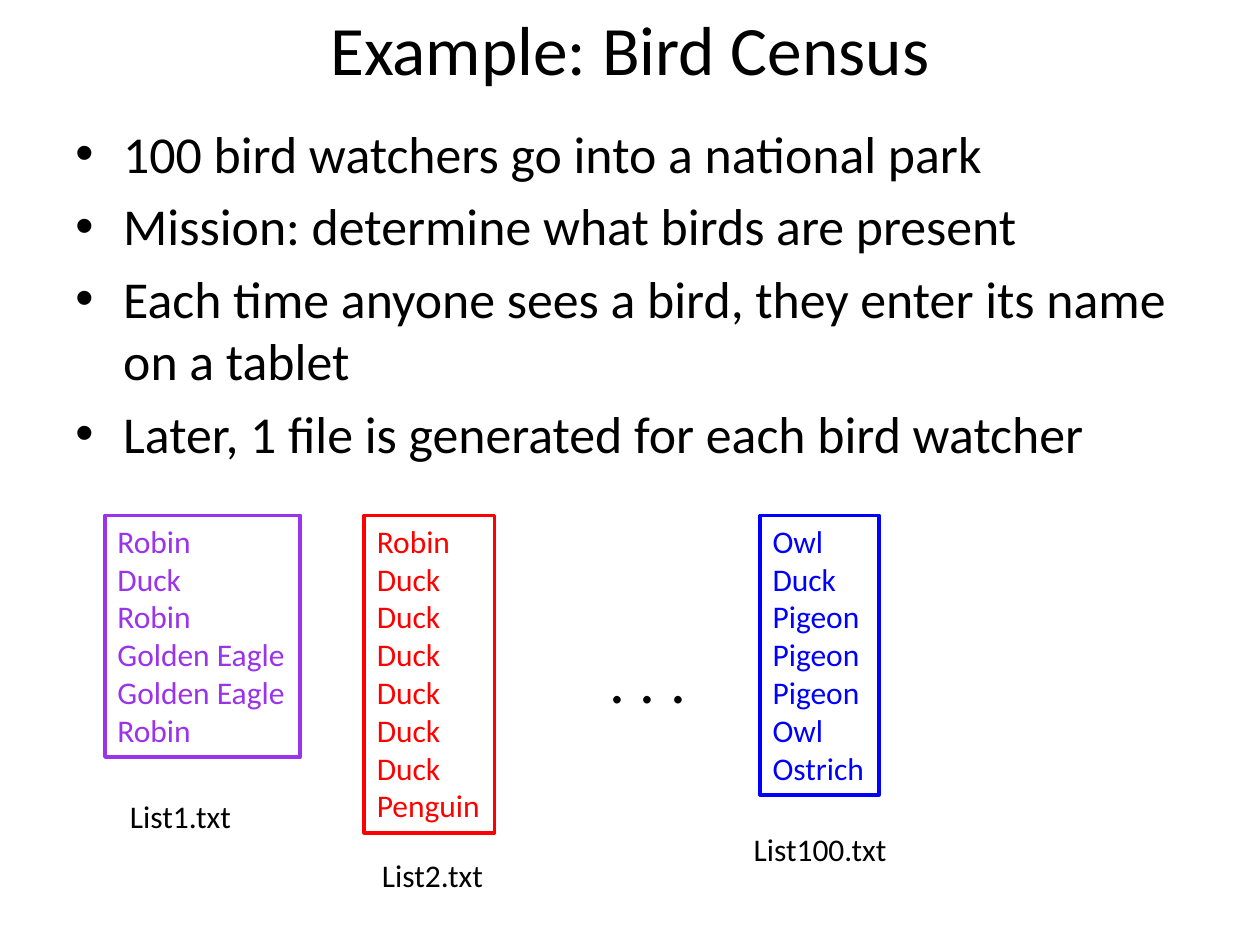
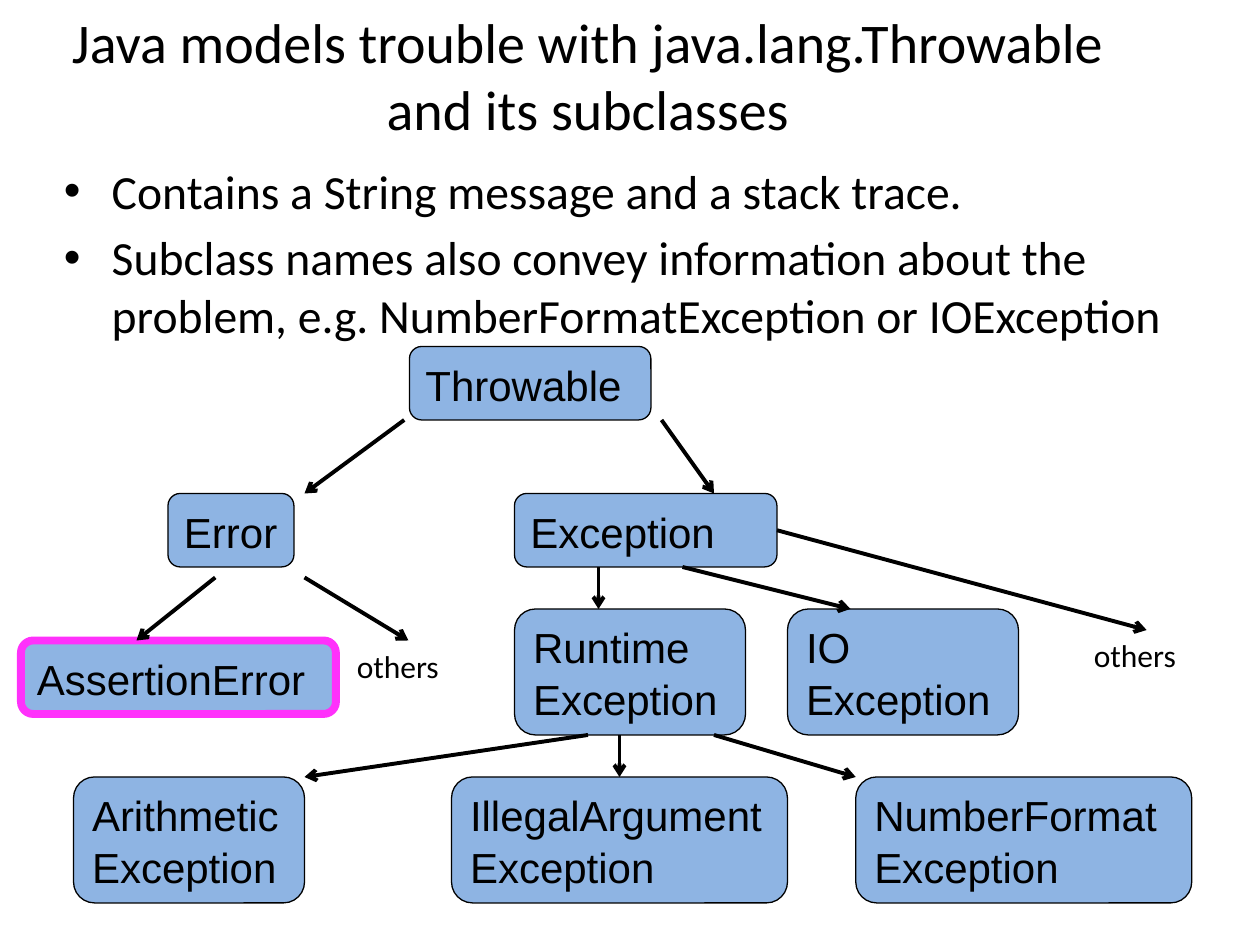
import pptx
import pptx.util
import pptx.dml.color
import pptx.enum.shapes
import pptx.enum.text
import pptx.oxml
import pptx.oxml.ns
from lxml import etree

RGB = pptx.dml.color.RGBColor
BLACK = RGB(0x00, 0x00, 0x00)
PURPLE = RGB(0x9A, 0x33, 0xE9)
RED = RGB(0xFF, 0x00, 0x00)
BLUE = RGB(0x00, 0x00, 0xFF)
NODE_BLUE = RGB(0x8E, 0xB4, 0xE3)
MAGENTA = RGB(0xFF, 0x31, 0xFB)

BODY_FONT = "Calibri"
NODE_FONT = "Arial"
LABEL_SIZE = 18
NODE_SIZE = 24

SLIDE_WIDTH = pptx.util.Inches(10)
SLIDE_HEIGHT = pptx.util.Inches(7.5)
UNIT = SLIDE_WIDTH // 120  # the slide is 120 columns by 90 rows

SHAPE = pptx.enum.shapes.MSO_SHAPE
ANCHOR = pptx.enum.text.MSO_ANCHOR
ALIGN = pptx.enum.text.PP_ALIGN

FILE_LISTS = [
    # left, width, height, label left, label top, label width, colour, file, birds
    (0, 18.6, 23, 1.2, 26.2, 12.2, PURPLE, "List1.txt",
     ["Robin", "Duck", "Robin", "Golden Eagle", "Golden Eagle", "Robin"]),
    (24.7, 12.4, 30.2, 25.2, 31.8, 12.2, RED, "List2.txt",
     ["Robin"] + ["Duck"] * 6 + ["Penguin"]),
    (62.4, 11.3, 26.6, 60.6, 29.4, 15.4, BLUE, "List100.txt",
     ["Owl", "Duck", "Pigeon", "Pigeon", "Pigeon", "Owl", "Ostrich"]),
]

THROWABLE_TREE = {
    # class name lines: column, row, columns, rows
    ("Throwable",): (37, 0, 23, 7),
    ("Error",): (14, 14, 12, 7),
    ("Exception",): (47, 14, 25, 7),
    ("AssertionError",): (0, 28, 30, 7),
    ("Runtime", "Exception"): (47, 25, 22, 12),
    ("IO", "Exception"): (73, 25, 22, 12),
    ("Arithmetic", "Exception"): (5, 41, 22, 12),
    ("IllegalArgument", "Exception"): (41, 41, 32, 12),
    ("NumberFormat", "Exception"): (79.5, 41, 32, 12),
}
HIGHLIGHTED = ("AssertionError",)
OTHERS = [(30.8, 28), (101, 27)]
BRANCHES = [
    # start column and row, end column and row
    (36.5, 7, 27, 14), (61, 7, 66, 14),
    (18.5, 22, 11, 28), (27, 22, 36.9, 28),
    (55, 21, 55, 25), (63, 21, 79, 25),
    (54, 37, 27, 41), (66, 37, 79.5, 41),
]
EXCEPTION_TO_OTHERS = (72, 17.5, 107.2, 27)
RUNTIME_TO_ILLEGAL_ARGUMENT = (57, 37, 57, 41)


def grid(*cells):
    return [round(cell * UNIT) for cell in cells]


def within(box, column, row, *size):
    """Turn a place relative to a box into one on the slide."""
    return (box[0] + column, box[1] + row, *size)


def write(frame, lines, size, color=BLACK, font=BODY_FONT):
    """Fill a text frame with one left-aligned paragraph per line."""
    for index, line in enumerate(lines):
        paragraph = frame.add_paragraph() if index else frame.paragraphs[0]
        paragraph.alignment = ALIGN.LEFT
        run = paragraph.add_run()
        run.text = line
        run.font.size = pptx.util.Pt(size)
        run.font.name = font
        run.font.color.rgb = color
    return frame.paragraphs


def fit_to_text(frame):
    frame.word_wrap = False
    frame.auto_size = pptx.enum.text.MSO_AUTO_SIZE.SHAPE_TO_FIT_TEXT


def add_label(slide, box, text, size=LABEL_SIZE):
    frame = slide.shapes.add_textbox(*grid(*box)).text_frame
    fit_to_text(frame)
    write(frame, [text], size)


def add_title(slide, box, text, size):
    frame = slide.shapes.add_textbox(*grid(*box)).text_frame
    frame.word_wrap = True
    frame.vertical_anchor = ANCHOR.MIDDLE
    write(frame, [text], size)[0].alignment = ALIGN.CENTER


def add_bullets(slide, box, lines, size):
    frame = slide.shapes.add_textbox(*grid(*box)).text_frame
    frame.word_wrap = True
    for index, paragraph in enumerate(write(frame, lines, size)):
        properties = paragraph._p.get_or_add_pPr()
        indent = pptx.util.Inches(0.38)
        properties.set("marL", str(indent))
        properties.set("indent", str(-indent))
        for tag, name, value in (("a:buFont", "typeface", NODE_FONT),
                                 ("a:buChar", "char", "•")):
            bullet = etree.SubElement(properties, pptx.oxml.ns.qn(tag))
            bullet.set(name, value)
        if index:
            paragraph.space_before = pptx.util.Pt(round(size * 0.2, 1))


def add_outlined(slide, kind, box, color, width):
    shape = slide.shapes.add_shape(kind, *grid(*box))
    shape.shadow.inherit = False
    shape.line.color.rgb = color
    shape.line.width = pptx.util.Pt(width)
    return shape


def add_file_lists(slide, box):
    for left, width, height, label_left, label_top, label_width, color, name, birds in FILE_LISTS:
        listing = add_outlined(slide, SHAPE.RECTANGLE,
                               within(box, left, 0, width, height), color, 2.25)
        listing.fill.background()
        listing.text_frame.vertical_anchor = ANCHOR.TOP
        fit_to_text(listing.text_frame)
        write(listing.text_frame, birds, LABEL_SIZE, color)
        add_label(slide, within(box, label_left, label_top, label_width, 4.8), name)
    add_label(slide, within(box, 46.9, 11.3, 9.7, 8.5), ". . .", 36)


def add_class(slide, box, lines):
    outline = (MAGENTA, 4.5) if lines == HIGHLIGHTED else (BLACK, 0.75)
    node = add_outlined(slide, SHAPE.ROUNDED_RECTANGLE, box, *outline)
    node.fill.solid()
    node.fill.fore_color.rgb = NODE_BLUE
    frame = node.text_frame
    frame.word_wrap = True
    frame.margin_right = pptx.util.Inches(0.05)
    frame.vertical_anchor = ANCHOR.MIDDLE
    for paragraph in write(frame, lines, NODE_SIZE, font=NODE_FONT):
        paragraph.line_spacing = 1.04
    return node


def add_arrow(slide, box, branch):
    ends = within(box, *branch[:2]) + within(box, *branch[2:])
    arrow = slide.shapes.add_connector(
        pptx.enum.shapes.MSO_CONNECTOR.STRAIGHT, *grid(*ends))
    arrow.line.color.rgb = BLACK
    arrow.line.width = pptx.util.Pt(2.25)
    head = etree.SubElement(arrow.line._get_or_add_ln(), pptx.oxml.ns.qn("a:tailEnd"))
    head.set("type", "arrow")
    etree.SubElement(arrow._element.spPr, pptx.oxml.ns.qn("a:effectLst"))
    return arrow


def add_throwable_tree(slide, box):
    nodes = {lines: add_class(slide, within(box, *place), lines)
             for lines, place in THROWABLE_TREE.items()}
    for column, row in OTHERS:
        add_label(slide, within(box, column, row, 12.2, 6), "others")
    for branch in BRANCHES:
        add_arrow(slide, box, branch)
    to_others = add_arrow(slide, box, EXCEPTION_TO_OTHERS)
    to_others.begin_connect(nodes[("Exception",)], 3)
    to_illegal = add_arrow(slide, box, RUNTIME_TO_ILLEGAL_ARGUMENT)
    to_illegal.end_connect(nodes[("IllegalArgument", "Exception")], 0)


def build_bird_census(slide):
    add_title(slide, (6, 0.1, 108, 8.8), "Example: Bird Census", 39.6)
    add_bullets(slide, (6, 11, 108, 32.2), [
        "100 bird watchers go into a national park",
        "Mission: determine what birds are present",
        "Each time anyone sees a bird, they enter its name on a tablet",
        "Later, 1 file is generated for each bird watcher",
    ], 29.6)
    add_file_lists(slide, (10, 49.1))


def build_throwable(slide):
    add_title(slide, (2, 0, 108, 14.2),
              "Java models trouble with java.lang.Throwable and its subclasses", 32)
    add_bullets(slide, (4.9, 14.8, 108, 20), [
        "Contains a String message and a stack trace.",
        "Subclass names also convey information about the problem, "
        "e.g. NumberFormatException or IOException",
    ], 27.2)
    add_throwable_tree(slide, (2, 33))


def main():
    deck = pptx.Presentation()
    deck.slide_width = SLIDE_WIDTH
    deck.slide_height = SLIDE_HEIGHT
    blank = deck.slide_layouts[6]
    for build in (build_bird_census, build_throwable):
        build(deck.slides.add_slide(blank))
    deck.save("out.pptx")


if __name__ == "__main__":
    main()
